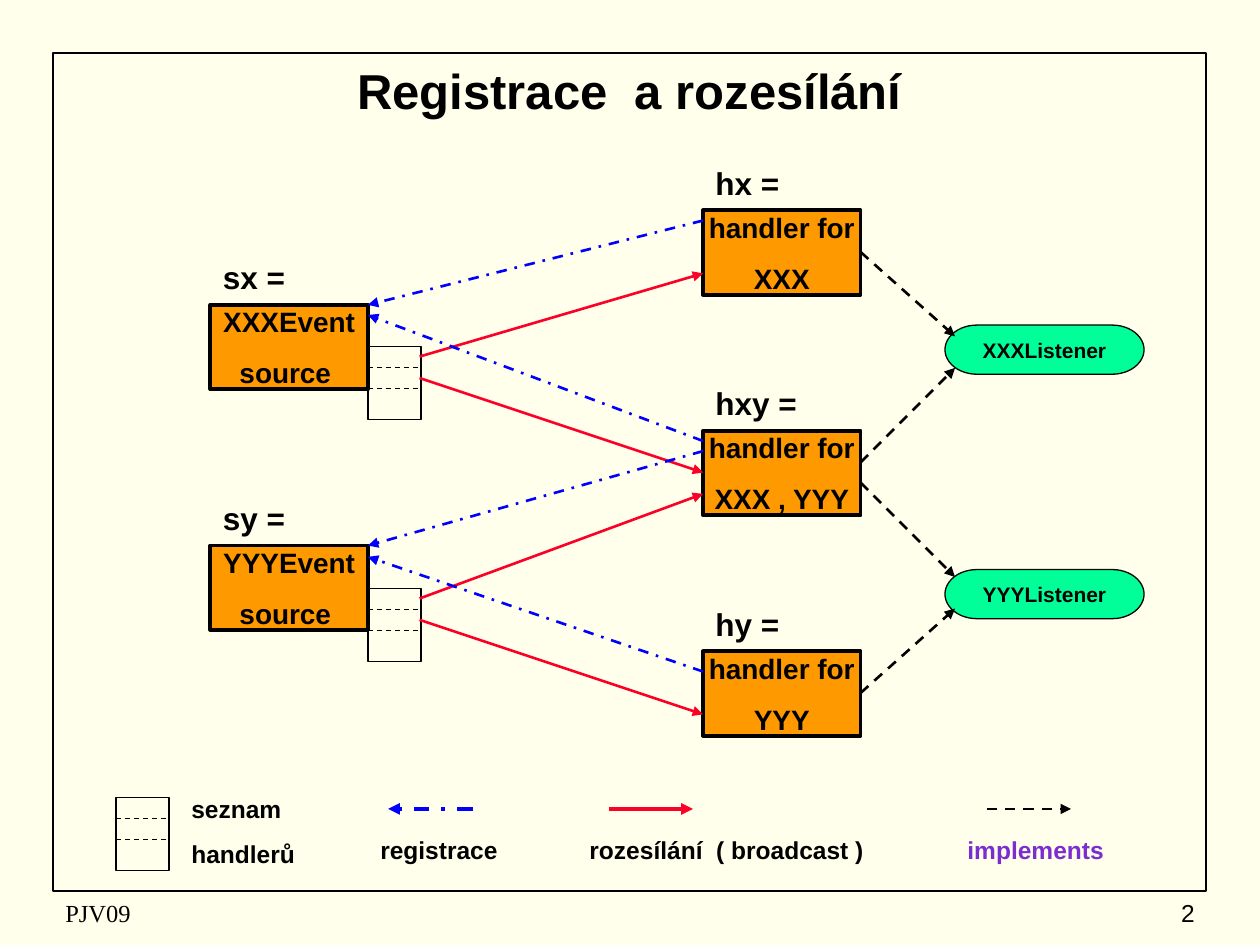
from lxml import etree
from pptx import Presentation
from pptx.dml.color import RGBColor
from pptx.enum.dml import MSO_LINE
from pptx.enum.shapes import MSO_CONNECTOR, MSO_SHAPE
from pptx.enum.text import MSO_ANCHOR, PP_ALIGN
from pptx.oxml.ns import qn
from pptx.util import Inches, Pt

LEFT, CENTER, RIGHT = PP_ALIGN.LEFT, PP_ALIGN.CENTER, PP_ALIGN.RIGHT
TOP, MIDDLE = MSO_ANCHOR.TOP, MSO_ANCHOR.MIDDLE
RECTANGLE, TERMINATOR = MSO_SHAPE.RECTANGLE, MSO_SHAPE.FLOWCHART_TERMINATOR
STRAIGHT = MSO_CONNECTOR.STRAIGHT
DASH, DASH_DOT = MSO_LINE.DASH, MSO_LINE.DASH_DOT

BLACK, CREAM, ORANGE, GREEN = "000000", "FFFFEB", "FF9900", "00FF99"
RED, BLUE, PURPLE = "FC0128", "0000FF", "7B2ED0"

# Content: objects as (left, top, label, lines in the box)
SOURCE_LEFT, HANDLER_LEFT = 1.67, 5.58
OBJECTS = [
    (SOURCE_LEFT, 2.42, "sx =", ["XXXEvent", "source "]),
    (SOURCE_LEFT, 4.33, "sy =", ["YYYEvent", "source "]),
    (HANDLER_LEFT, 1.67, "hx =", ["handler for", "XXX"]),
    (HANDLER_LEFT, 3.42, "hxy =", ["handler for", "XXX , YYY"]),
    (HANDLER_LEFT, 5.17, "hy =", ["handler for", "YYY"]),
]
LISTENERS = [(2.58, "XXXListener"), (4.52, "YYYListener")]
HANDLER_LISTS = [(2.92, 2.75), (2.92, 4.67), (0.92, 6.33)]

# Arrow families: start x, end x, (start y, end y) pairs, line format
ARROWS = [
    (3.33, 5.58, [(4.75, 3.92), (2.83, 2.17), (3, 3.75), (4.92, 5.67)],
     {"color": RED, "width": 1.5}),
    (5.58, 2.92, [(1.75, 2.42), (3.58, 4.33), (3.5, 2.5), (5.33, 4.42)],
     {"color": BLUE, "width": 1.5, "dash": DASH_DOT}),
    (6.83, 7.58, [(2, 2.67), (3.67, 2.92), (5.5, 4.83), (3.83, 4.58)],
     {"color": BLACK, "width": 1.5, "dash": DASH}),
    # Legend samples
    (3.75, 3.08, [(6.42, 6.42)], {"color": BLUE, "width": 2.25, "dash": DASH_DOT}),
    (4.83, 5.5, [(6.42, 6.42)], {"color": RED, "width": 2.25}),
    (7.83, 8.5, [(6.42, 6.42)], {"color": BLACK, "width": 1.5, "dash": DASH}),
]
LEGEND = [
    (1.42, 6.25, 1.08, 0.69, ["seznam", "handlerů"], BLACK),
    (2.92, 6.58, 1.17, 0.33, ["registrace"], BLACK),
    (4.58, 6.58, 2.5, 0.33, ["rozesílání  ( broadcast )"], BLACK),
    (7.58, 6.58, 1.5, 0.33, ["implements"], PURPLE),
]

presentation = Presentation()
presentation.slide_width, presentation.slide_height = Inches(10), Inches(7.5)
slide = presentation.slides.add_slide(presentation.slide_layouts[6])


def rgb(value):
    return RGBColor.from_string(value)


def write(shape, lines, size=14, color=BLACK, font="Arial", bold=True,
          align=LEFT, anchor=TOP, wrap=True, gap=0):
    frame = shape.text_frame
    frame.word_wrap = wrap
    frame.vertical_anchor = anchor
    for index, line in enumerate(lines):
        paragraph = frame.add_paragraph() if index else frame.paragraphs[0]
        paragraph.text = line
        paragraph.alignment = align
        if index:
            paragraph.space_before = Pt(gap)
        paragraph.font.size = Pt(size)
        paragraph.font.name = font
        paragraph.font.bold = bold
        paragraph.font.color.rgb = rgb(color)


def add_text(left, top, width, height, lines, **text_format):
    box = slide.shapes.add_textbox(*map(Inches, (left, top, width, height)))
    write(box, lines, **text_format)


def add_box(left, top, width, height, kind=RECTANGLE, fill=None, line_width=1):
    shape = slide.shapes.add_shape(kind, *map(Inches, (left, top, width, height)))
    shape.shadow.inherit = False
    if fill:
        shape.fill.solid()
        shape.fill.fore_color.rgb = rgb(fill)
    else:
        shape.fill.background()
    shape.line.color.rgb = rgb(BLACK)
    shape.line.width = Pt(line_width)
    return shape


def add_line(start, end, color=BLACK, width=0.75, dash=None, arrow=False):
    connector = slide.shapes.add_connector(STRAIGHT, *map(Inches, (*start, *end)))
    connector.line.color.rgb = rgb(color)
    connector.line.width = Pt(width)
    if dash:
        connector.line.dash_style = dash
    properties = connector.line._get_or_add_ln()
    if arrow:
        etree.SubElement(properties, qn("a:tailEnd"), type="triangle")
    etree.SubElement(properties.getparent(), qn("a:effectLst"))


# Background, frame and title
slide.background.fill.solid()
slide.background.fill.fore_color.rgb = rgb(CREAM)
add_box(0.42, 0.42, 9.15, 6.65)
add_text(1.83, 0.42, 6.33, 0.58, ["Registrace  a rozesílání"],
         size=28, align=CENTER, anchor=MIDDLE)

# Sources and handlers, each with its name above
for left, top, label, lines in OBJECTS:
    box = add_box(left, top, 1.25, 0.67, fill=ORANGE, line_width=2.25)
    write(box, lines, size=16, align=CENTER, anchor=MIDDLE, wrap=False, gap=10)
    add_text(left, top - 0.42, 0.92, 0.4, [label], size=18)

# Listener interfaces
for top, name in LISTENERS:
    pill = add_box(7.5, top, 1.58, 0.39, kind=TERMINATOR, fill=GREEN, line_width=0.75)
    write(pill, [name], size=12, align=CENTER, anchor=MIDDLE, wrap=False)

# Handler lists with two dashed dividers
for left, top in HANDLER_LISTS:
    add_box(left, top, 0.42, 0.58)
    for row in (1, 2):
        y = top + row / 6
        add_line((left, y), (left + 0.42, y), dash=DASH)

# Arrows
for start_x, end_x, heights, line_format in ARROWS:
    for start_y, end_y in heights:
        add_line((start_x, start_y), (end_x, end_y), arrow=True, **line_format)

# Legend texts
for left, top, width, height, lines, color in LEGEND:
    add_text(left, top, width, height, lines, color=color, gap=8.8)

# Footer
add_text(0.42, 7.08, 3.17, 0.33, ["PJV09"], font="Times New Roman",
         bold=False, anchor=MIDDLE)
add_text(7.5, 7.08, 2.08, 0.33, ["2"], bold=False, align=RIGHT, anchor=MIDDLE)

presentation.save("out.pptx")
